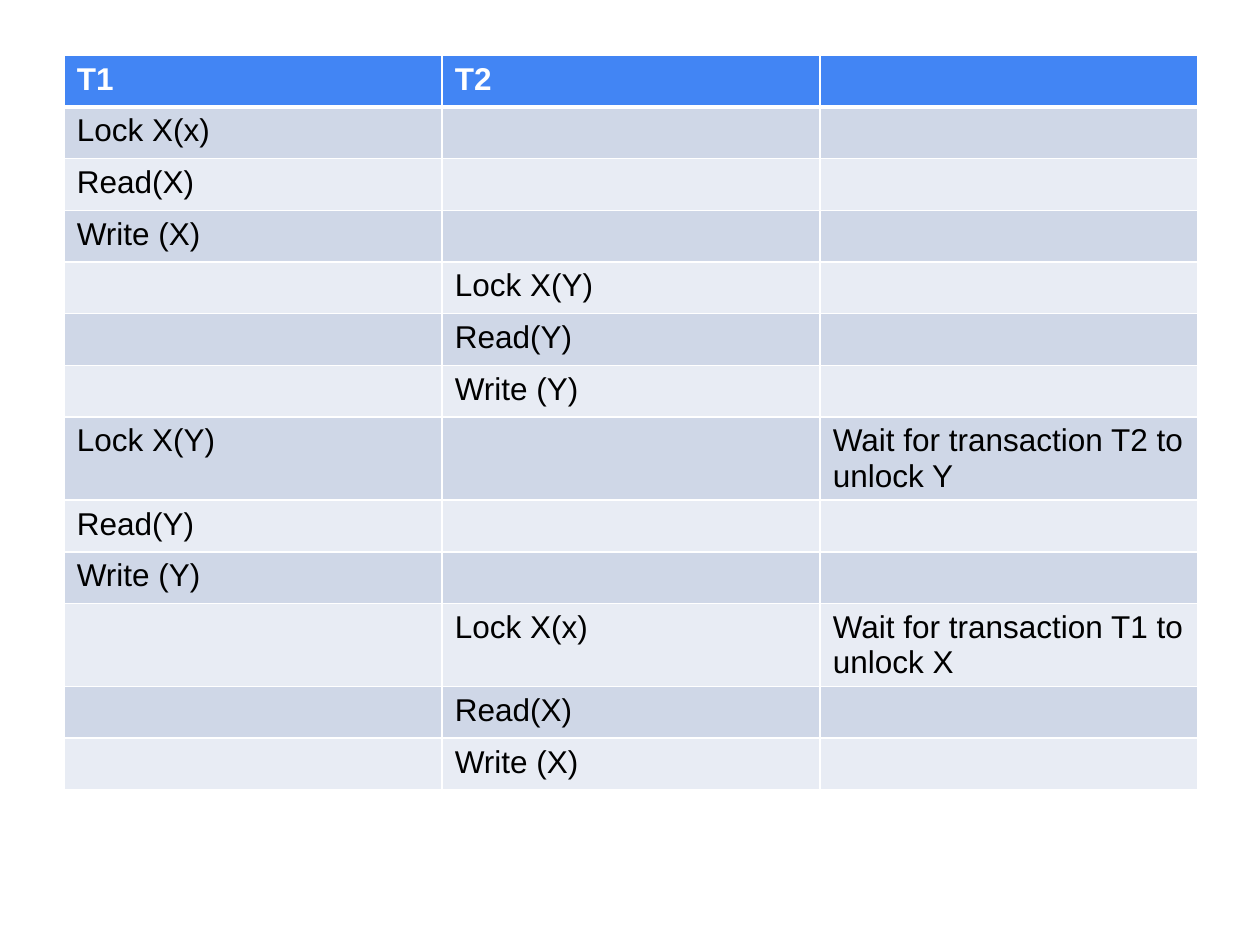
"""Build a slide with a table of two transactions that deadlock on locks."""
import dataclasses
import typing

import lxml.etree
import pptx
import pptx.dml.color
import pptx.oxml.ns
import pptx.table
import pptx.util

Inches = pptx.util.Inches
Pt = pptx.util.Pt
RGB = pptx.dml.color.RGBColor


@dataclasses.dataclass(frozen=True)
class Theme:
    font: str = "Arial"
    size: int = 18
    header_fill: str = "4285F4"
    header_text: str = "FFFFFF"
    bands: tuple[str, str] = ("CFD7E7", "E8ECF4")
    body_text: str = "000000"
    border: str = "FFFFFF"
    thin: int = 1
    thick: int = 3


class Step(typing.NamedTuple):
    t1: str = ""
    t2: str = ""
    effect: str = ""


THEME = Theme()
HEADER = Step("T1", "T2")
SCHEDULE = [
    Step(t1="Lock X(x)"),
    Step(t1="Read(X)"),
    Step(t1="Write (X)"),
    Step(t2="Lock X(Y)"),
    Step(t2="Read(Y)"),
    Step(t2="Write (Y)"),
    Step(t1="Lock X(Y)", effect="Wait for transaction T2 to unlock Y"),
    Step(t1="Read(Y)"),
    Step(t1="Write (Y)"),
    Step(t2="Lock X(x)", effect="Wait for transaction T1 to unlock X"),
    Step(t2="Read(X)"),
    Step(t2="Write (X)"),
]
COLUMN_WIDTH = Inches(3)
ROW_HEIGHT = Inches(0.41)


def add_border(cell: pptx.table._Cell, side: str, width: int) -> None:
    qn = pptx.oxml.ns.qn
    properties = cell._tc.get_or_add_tcPr()
    line = lxml.etree.SubElement(properties, qn(f"a:ln{side}"), w=str(Pt(width)))
    fill = lxml.etree.SubElement(line, qn("a:solidFill"))
    lxml.etree.SubElement(fill, qn("a:srgbClr"), val=THEME.border)


def fill_cell(cell: pptx.table._Cell, wording: str, row: int) -> None:
    is_header = row == 0
    widths = {
        "L": THEME.thin,
        "R": THEME.thin,
        "T": THEME.thick if row == 1 else THEME.thin,
        "B": THEME.thick if is_header else THEME.thin,
    }
    for side, width in widths.items():
        add_border(cell, side, width)
    band = THEME.header_fill if is_header else THEME.bands[(row - 1) % 2]
    cell.fill.solid()
    cell.fill.fore_color.rgb = RGB.from_string(band)
    if wording:
        run = cell.text_frame.paragraphs[0].add_run()
        run.text = wording
        run.font.name = THEME.font
        run.font.size = Pt(THEME.size)
        run.font.bold = is_header
        color = THEME.header_text if is_header else THEME.body_text
        run.font.color.rgb = RGB.from_string(color)


def main() -> None:
    deck = pptx.Presentation()
    deck.slide_width, deck.slide_height = Inches(10), Inches(7.5)
    slide = deck.slides.add_slide(deck.slide_layouts[6])

    steps = [HEADER, *SCHEDULE]
    columns = len(Step._fields)
    schedule = slide.shapes.add_table(
        len(steps), columns, Inches(0.51), Inches(0.44),
        COLUMN_WIDTH * columns, ROW_HEIGHT * len(steps),
    ).table
    for column in schedule.columns:
        column.width = COLUMN_WIDTH
    for row, step in enumerate(steps):
        schedule.rows[row].height = ROW_HEIGHT
        for column, wording in enumerate(step):
            fill_cell(schedule.cell(row, column), wording, row)

    deck.save("out.pptx")


if __name__ == "__main__":
    main()
